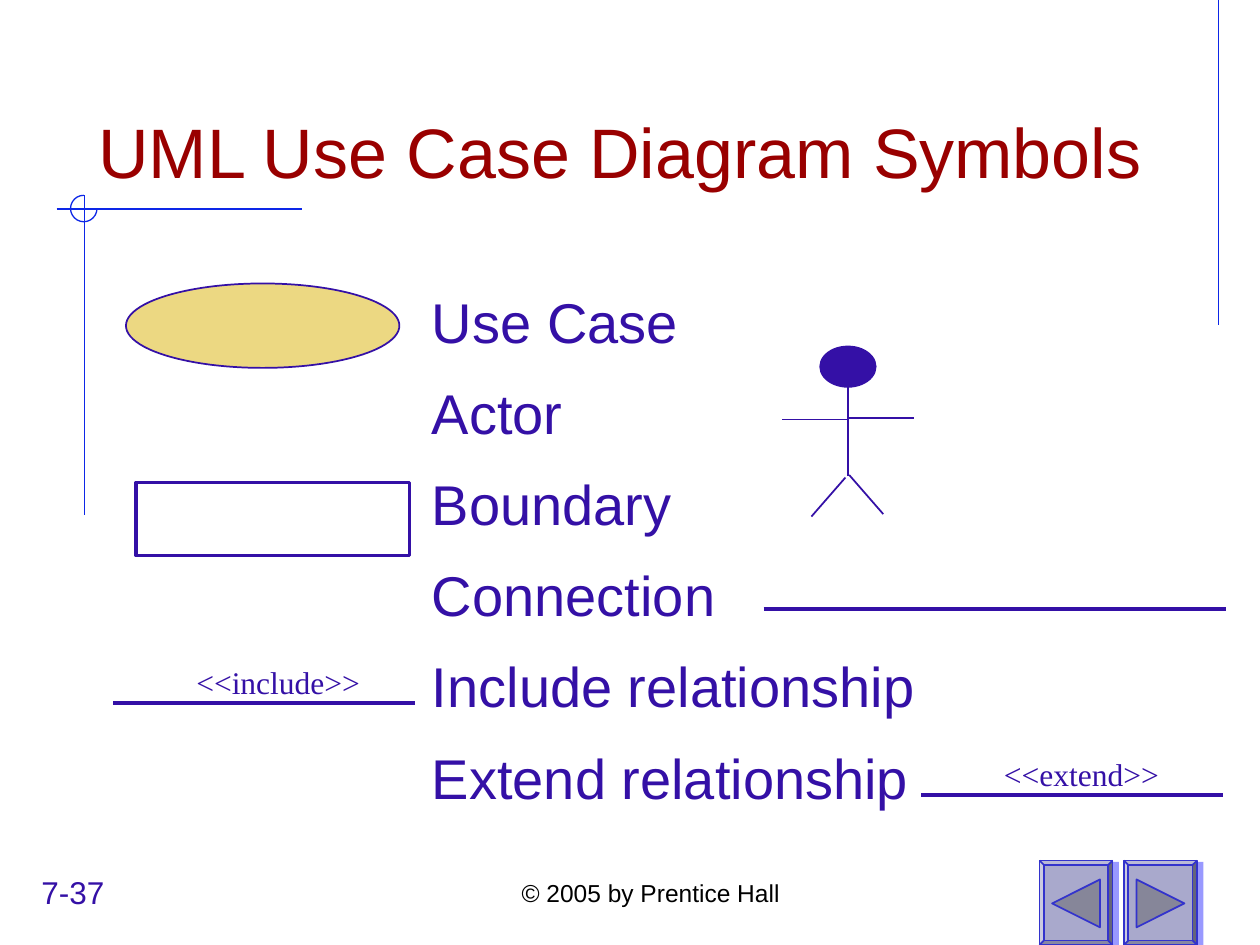
"""Build a slide of the symbols used in UML use case diagrams."""
import pptx
import pptx.util
import pptx.dml.color
import pptx.enum.shapes
import pptx.enum.text
import pptx.oxml

Inches = pptx.util.Inches
Pt = pptx.util.Pt
Kind = pptx.enum.shapes.MSO_SHAPE
Align = pptx.enum.text.PP_ALIGN
Anchor = pptx.enum.text.MSO_ANCHOR
HUES = {
    "title": "990000", "ink": "3410A6", "black": "000000", "oval": "ECD882",
    "rule": "0D27E7", "edge": "3333CC", "face": "A9A9CC", "mark": "868699",
    "shade": "9999FF",
}
hues = {name: pptx.dml.color.RGBColor.from_string(hue) for name, hue in HUES.items()}

deck = pptx.Presentation()
deck.slide_width, deck.slide_height = Inches(10), Inches(7.5)
slide = deck.slides.add_slide(deck.slide_layouts[5])
shapes = slide.shapes


def write(text, at, size=18, font="Arial", hue="ink", align=Align.LEFT,
          anchor=Anchor.TOP, top=0.05, lead=1.0, gap=0, box=None):
    """Write each line of text as a paragraph in a box."""
    spot = [Inches(v) for v in at]
    box = box or shapes.add_textbox(*spot)
    box.left, box.top, box.width, box.height = spot
    frame = box.text_frame
    frame.word_wrap = True
    frame.auto_size = pptx.enum.text.MSO_AUTO_SIZE.NONE
    frame.vertical_anchor = anchor
    frame.margin_left = frame.margin_right = Inches(0.1)
    frame.margin_top, frame.margin_bottom = Inches(top), Inches(0.05)
    frame.text = text
    for i, para in enumerate(frame.paragraphs):
        para.alignment = align
        para.line_spacing = lead
        para.space_before = Pt(gap if i else 0)
        para.font.size, para.font.name = Pt(size), font
        para.font.color.rgb = hues[hue]


def draw(kind, at, fill=None, line=None, width=1):
    """Draw a preset shape, or a straight line when kind is None."""
    spot = [Inches(v) for v in at]
    if kind is None:
        item = shapes.add_connector(pptx.enum.shapes.MSO_CONNECTOR.STRAIGHT, *spot)
    else:
        item = shapes.add_shape(kind, *spot)
        item.shadow.inherit = False
        if fill:
            item.fill.solid()
            item.fill.fore_color.rgb = hues[fill]
        else:
            item.fill.background()
    if line:
        item.line.color.rgb = hues[line]
        item.line.width = Pt(width)
    else:
        item.line.fill.background()
    if kind is None:
        pptx.oxml.xmlchemy.OxmlElement
        item._element.spPr.append(pptx.oxml.xmlchemy.OxmlElement("a:effectLst"))
    return item


for left, turn in ((8.25, -90), (8.92, 90)):
    draw(Kind.RECTANGLE, (left + 0.05, 6.84, 0.58, 0.66), fill="shade")
    frame = draw(Kind.BEVEL, (left, 6.83, 0.58, 0.67), fill="face", line="edge")
    frame.adjustments[0] = 0.06
    mark = draw(Kind.ISOSCELES_TRIANGLE, (left + 0.1, 6.98, 0.38, 0.38),
                fill="mark", line="edge")
    mark.rotation = turn

for ends in ((9.67, 0, 9.67, 2.58), (0.45, 1.66, 2.4, 1.66), (0.67, 1.55, 0.67, 4.09)):
    draw(None, ends, line="rule", width=0.75)
arc = draw(Kind.ARC, (0.56, 1.55, 0.21, 0.21), line="rule", width=0.75)
arc.adjustments[0], arc.adjustments[1] = 0, 162

write("UML Use Case Diagram Symbols", (0.67, 0.33, 8.5, 1.25), size=40, hue="title",
      align=Align.CENTER, anchor=Anchor.BOTTOM, box=shapes.title)
names = ("Use Case", "Actor", "Boundary", "Connection",
         "Include relationship", "Extend relationship")
write("\n".join(names), (3.33, 2.08, 4.58, 4.5), size=32, top=0.15, lead=1.1, gap=9.8)
write("© 2005 by Prentice Hall", (3.58, 6.73, 3.17, 0.52), size=14, hue="black",
      align=Align.CENTER, anchor=Anchor.BOTTOM)
write("7-37", (0.23, 6.88, 1.56, 0.4))

draw(Kind.OVAL, (1, 2.25, 2.17, 0.67), fill="oval", line="ink")
draw(Kind.RECTANGLE, (1.08, 3.83, 2.17, 0.58), line="ink", width=2)

draw(Kind.OVAL, (6.51, 2.75, 0.44, 0.32), fill="ink", line="ink")
limbs = ((6.73, 3.07, 6.73, 3.78), (6.73, 3.32, 7.25, 3.32), (6.21, 3.33, 6.73, 3.33),
         (6.74, 3.77, 7.01, 4.08), (6.71, 3.79, 6.44, 4.1))
for ends in limbs:
    draw(None, ends, line="ink")

links = ((6.06, 9.73, 4.83, None), (0.9, 3.29, 5.58, "<<include>>"),
         (7.31, 9.71, 6.31, "<<extend>>"))
for start, end, level, label in links:
    draw(None, (start, level, end, level), line="ink", width=2.25)
    if label:
        write(label, (start + 0.56, level - 0.37, 1.5, 0.4), font="Times New Roman")

deck.save("out.pptx")
